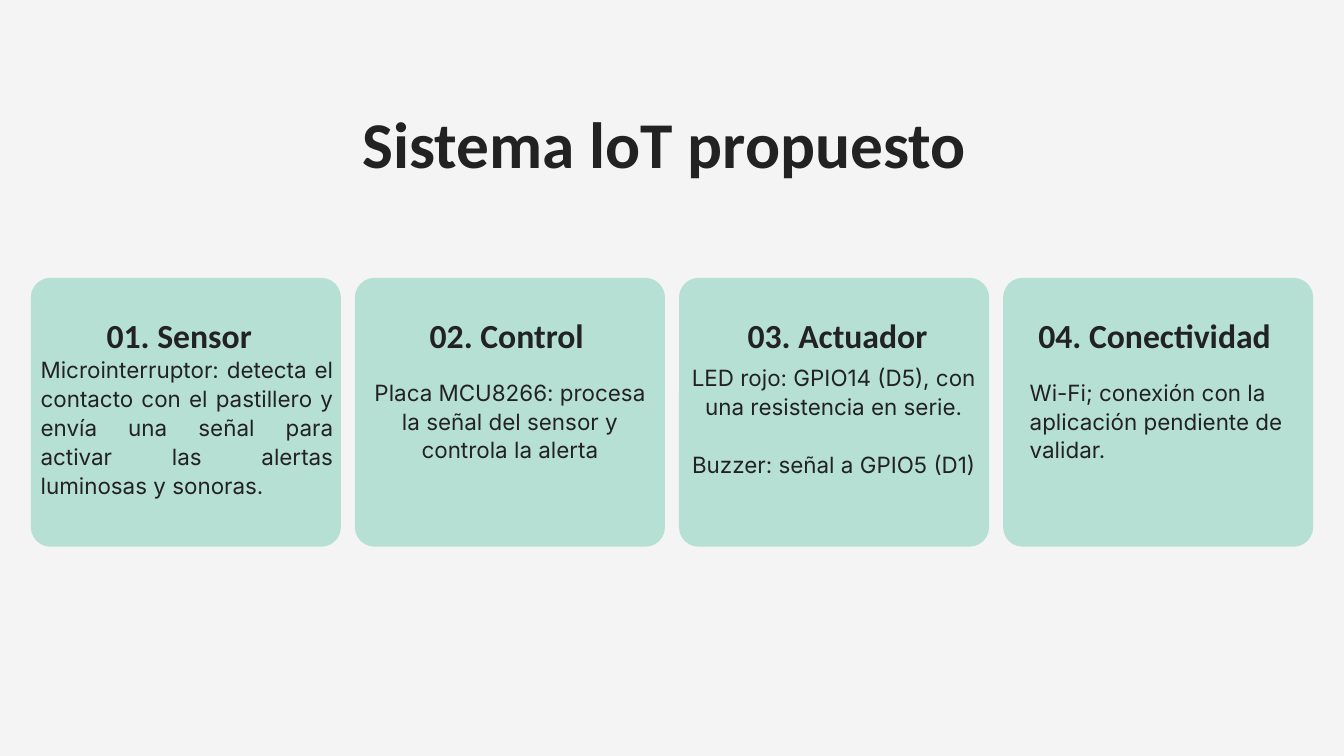
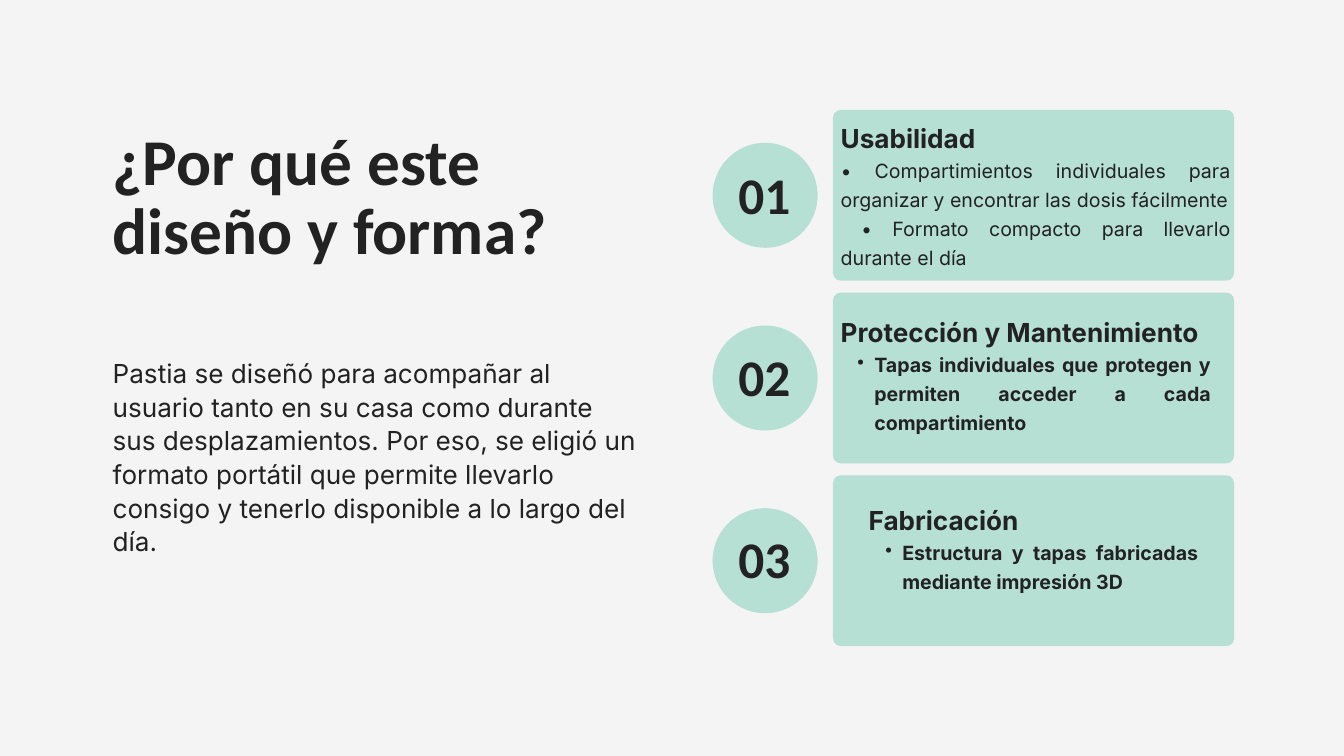
"""Build two slides on a connected pillbox: its IoT system and the reasons for its design."""
import lxml.etree
import pptx
import pptx.dml.color
import pptx.enum.shapes
import pptx.enum.text
import pptx.oxml.ns
import pptx.util

PX = 9525
BACKGROUND, MINT, INK = "F4F4F4", "B6E0D4", "222222"
color = pptx.dml.color.RGBColor.from_string
SHAPES = pptx.enum.shapes.MSO_SHAPE
ALIGN = pptx.enum.text.PP_ALIGN
LEFT, CENTER, JUSTIFY = ALIGN.LEFT, ALIGN.CENTER, ALIGN.JUSTIFY

STYLES = {
    "title": {"name": "Calibri", "size": 70, "bold": True, "leading": 74.2},
    "card heading": {"name": "Calibri", "size": 36.1, "bold": True, "leading": 38.2},
    "card body": {"name": "Inter", "size": 24, "bold": False, "leading": 31},
    "intro": {"name": "Inter", "size": 28, "bold": False, "leading": 36.1},
    "number": {"name": "Calibri", "size": 55, "bold": True, "leading": 58.3},
    "reason heading": {"name": "Inter", "size": 28, "bold": True, "leading": 41.1},
    "reason": {"name": "Inter", "size": 21, "bold": False, "leading": 30.9},
    "bullet": {"name": "Inter", "size": 21, "bold": True, "leading": 30.9},
}


def add_panel(slide, kind, box, corner=None):
    """Add a flat mint shape, with a corner radius in px if given."""
    shape = slide.shapes.add_shape(kind, *(value * PX for value in box))
    shape.shadow.inherit = False
    shape.fill.solid()
    shape.fill.fore_color.rgb = color(MINT)
    shape.line.fill.background()
    if corner:
        shape.adjustments[0] = corner / box[3]


def add_text(slide, box, alignment, paragraphs, gap=0):
    """Add a text box from (style, text) pairs, with a gap in points between them."""
    frame = slide.shapes.add_textbox(*(value * PX for value in box)).text_frame
    frame_format = {"word_wrap": True, "margin_left": 0, "margin_top": 0,
                    "margin_right": 0, "margin_bottom": 0}
    for name, value in frame_format.items():
        setattr(frame, name, value)
    for index, (style, text) in enumerate(paragraphs):
        paragraph = frame.add_paragraph() if index else frame.paragraphs[0]
        if style == "bullet":
            paragraph.level = 1
            properties = paragraph._p.get_or_add_pPr()
            properties.set("marL", str(48 * PX))
            properties.set("indent", str(-24 * PX))
            bullet = lxml.etree.SubElement(properties, pptx.oxml.ns.qn("a:buChar"))
            bullet.set("char", "•")
        values = STYLES[style]
        paragraph.alignment = alignment
        paragraph.line_spacing = pptx.util.Pt(values["leading"])
        if index and gap:
            paragraph.space_before = pptx.util.Pt(gap)
        run = paragraph.add_run()
        run.text = text
        font_format = {"name": values["name"], "size": pptx.util.Pt(values["size"]),
                       "bold": values["bold"]}
        for name, value in font_format.items():
            setattr(run.font, name, value)
        run.font.color.rgb = color(INK)


presentation = pptx.Presentation()
presentation.slide_width = 1920 * PX
presentation.slide_height = 1080 * PX
slides = []
for _ in range(2):
    slide = presentation.slides.add_slide(presentation.slide_layouts[6])
    slide.background.fill.solid()
    slide.background.fill.fore_color.rgb = color(BACKGROUND)
    slides.append(slide)
system_slide, design_slide = slides

add_text(system_slide, (355, 161, 1209, 102), CENTER, [("title", "Sistema loT propuesto ")])

components = [
    ("01. Sensor ", (108, 456, 307, 51), (58, 506, 418, 327), JUSTIFY,
     ["Microinterruptor: detecta el contacto con el pastillero y envía una señal "
      "para activar las alertas luminosas y sonoras."]),
    ("02. Control", (566, 456, 316, 51), (529, 538, 399, 204), CENTER,
     ["Placa MCU8266: procesa la señal del sensor y controla la alerta"]),
    ("03. Actuador", (1020, 456, 353, 51), (965, 517, 452, 245), CENTER,
     ["LED rojo: GPIO14 (D5), con una resistencia en serie.",
      "Buzzer: señal a GPIO5 (D1)"]),
    ("04. Conectividad", (1424, 456, 451, 51), (1471, 538, 377, 162), LEFT,
     ["Wi-Fi; conexión con la aplicación pendiente de validar."]),
]
for column, (heading, heading_box, body_box, alignment, lines) in enumerate(components):
    add_panel(system_slide, SHAPES.ROUNDED_RECTANGLE, (44 + 463 * column, 397, 443, 384), 28)
    add_text(system_slide, heading_box, CENTER, [("card heading", heading)])
    add_text(system_slide, body_box, alignment, [("card body", line) for line in lines], gap=31)

add_text(design_slide, (161, 185, 751, 298), LEFT, [("title", "¿Por qué este diseño y forma?")])
add_text(design_slide, (161, 507, 751, 480), LEFT, [
    ("intro", "Pastia se diseñó para acompañar al usuario tanto en su casa como durante sus "
              "desplazamientos. Por eso, se eligió un formato portátil que permite llevarlo "
              "consigo y tenerlo disponible a lo largo del día.")])

reasons = [
    ((1201, 165, 557, 219), [
        ("reason heading", "Usabilidad"),
        ("reason", "• Compartimientos individuales para organizar y encontrar las dosis fácilmente"),
        ("reason", " • Formato compacto para llevarlo durante el día")]),
    ((1201, 442, 529, 215), [
        ("reason heading", "Protección y Mantenimiento "),
        ("bullet", "Tapas individuales que protegen y permiten acceder a cada compartimiento ")]),
    ((1241, 710, 471, 173), [
        ("reason heading", "Fabricación "),
        ("bullet", "Estructura y tapas fabricadas mediante impresión 3D")]),
]
for row, (reason_box, paragraphs) in enumerate(reasons):
    offset = 261 * row
    add_panel(design_slide, SHAPES.OVAL, (1018, 204 + offset, 150, 150))
    add_panel(design_slide, SHAPES.ROUNDED_RECTANGLE, (1190, 157 + offset, 573, 244), 11)
    add_text(design_slide, reason_box, JUSTIFY, paragraphs)
    add_text(design_slide, (1021, 243 + 260 * row, 142, 79), CENTER, [("number", f"{row + 1:02d}")])

presentation.save("out.pptx")
